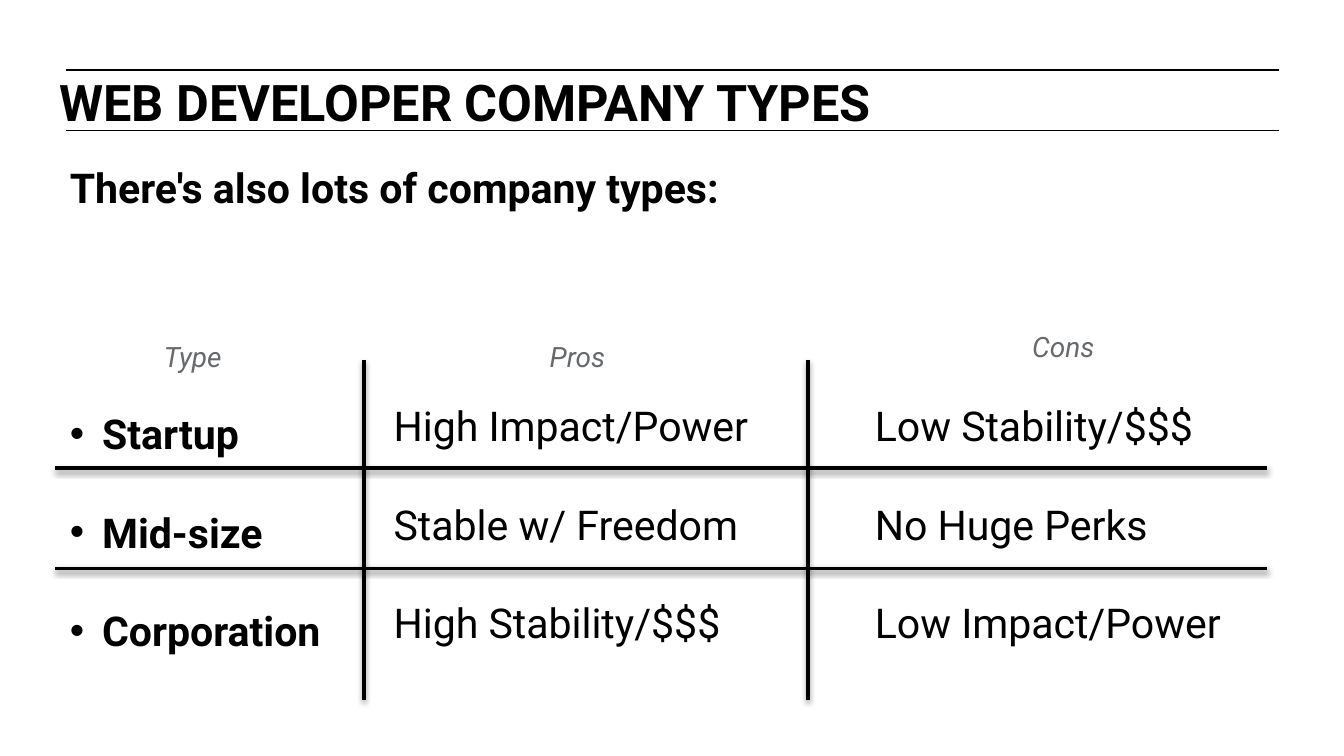
from lxml.etree import SubElement
from pptx import Presentation
from pptx.dml.color import RGBColor
from pptx.enum.shapes import MSO_CONNECTOR as Connector
from pptx.oxml.ns import qn
from pptx.util import Inches, Pt

BLACK = RGBColor(0x00, 0x00, 0x00)
GRAY = RGBColor(0x67, 0x6A, 0x6D)
FONT = "Roboto"
UNIT = Inches(0.1)
ROW_GAP = 26.5

COMPANIES = [
    ("Startup", "High Impact/Power", "Low Stability/$$$"),
    ("Mid-size", "Stable w/ Freedom", "No Huge Perks"),
    ("Corporation", "High Stability/$$$", "Low Impact/Power"),
]
HEADERS = [("Type", 11.7, 23.3), ("Pros", 40.4, 23.3), ("Cons", 76.3, 22.5)]
COLUMNS = [(4.7, 30, 22), (28.8, 29.3, 31.2), (64.6, 29.3, 31.2)]


def write(paragraph, text, size=22, color=BLACK, bold=False, italic=False, spacing=None, before=0):
    """Put text in a paragraph with the given format."""
    paragraph.space_before = Pt(before)
    paragraph.line_spacing = spacing
    run = paragraph.add_run()
    run.text = text
    font = run.font
    font.name, font.size, font.color.rgb = FONT, Pt(size), color
    font.bold, font.italic = bold, italic


def add_bullet(paragraph):
    """Give a paragraph a round bullet with a hanging indent."""
    properties = paragraph._p.get_or_add_pPr()
    properties.set("marL", str(Inches(0.24)))
    properties.set("indent", str(-Inches(0.24)))
    SubElement(properties, qn("a:buFont"), typeface="Arial")
    SubElement(properties, qn("a:buChar"), char="•")


class SlideBuilder:
    """Draws elements on a slide measured in grid units of a tenth of an inch."""

    def __init__(self, slide):
        self.slide = slide

    def text(self, left, top, width, height, lines, bullets=False, gap=0, **style):
        """Add a text box with one paragraph for each line."""
        box = self.slide.shapes.add_textbox(*(round(n * UNIT) for n in (left, top, width, height)))
        frame = box.text_frame
        frame.word_wrap = True
        frame.margin_left = frame.margin_right = Inches(0.05)
        frame.margin_top = frame.margin_bottom = Inches(0.05)
        for index, line in enumerate(lines):
            paragraph = frame.add_paragraph() if index else frame.paragraphs[0]
            if bullets:
                add_bullet(paragraph)
            write(paragraph, line, before=gap if index else 0, **style)

    def line(self, x1, y1, x2, y2, weight=2, shadow=True):
        """Add a straight black line, with a soft shadow if wanted."""
        ends = (round(n * UNIT) for n in (x1, y1, x2, y2))
        connector = self.slide.shapes.add_connector(Connector.STRAIGHT, *ends)
        connector.line.color.rgb = BLACK
        connector.line.width = Pt(weight)
        effects = SubElement(connector._element.spPr, qn("a:effectLst"))
        if shadow:
            outer = SubElement(effects, qn("a:outerShdw"), blurRad=str(Pt(3)),
                               dist=str(Pt(1.6)), dir="5400000", rotWithShape="0")
            color = SubElement(outer, qn("a:srgbClr"), val=str(BLACK))
            SubElement(color, qn("a:alpha"), val="38000")


def main():
    """Build the company types slide."""
    presentation = Presentation()
    presentation.slide_width = Inches(10)
    presentation.slide_height = presentation.slide_width * 9 // 16
    builder = SlideBuilder(presentation.slides.add_slide(presentation.slide_layouts[6]))

    for y in (5.2, 9.7):
        builder.line(4.9, y, 95.2, y, weight=0.75, shadow=False)
    builder.text(3.9, 5.3, 76.2, 5.6, ["WEB DEVELOPER COMPANY TYPES"], size=27, bold=True, spacing=0.9)
    builder.text(4.7, 11.6, 87.9, 4.7, ["There's also lots of company types:"], bold=True)

    for x in (27.1, 60.1):
        builder.line(x, 26.8, x, 52.1)
    for y in (34.8, 42.3):
        builder.line(4.1, y, 94.3, y)

    for index, (entries, (left, width, _)) in enumerate(zip(zip(*COMPANIES), COLUMNS)):
        is_type = index == 0
        top = 29.9 if is_type else 29.3
        builder.text(left, top, width, 19, entries, bullets=is_type, gap=ROW_GAP, bold=is_type)
    for label, left, top in HEADERS:
        builder.text(left, top, 5.9, 4.1, [label], size=15, color=GRAY, italic=True, spacing=1.6)

    presentation.save("out.pptx")


if __name__ == "__main__":
    main()
